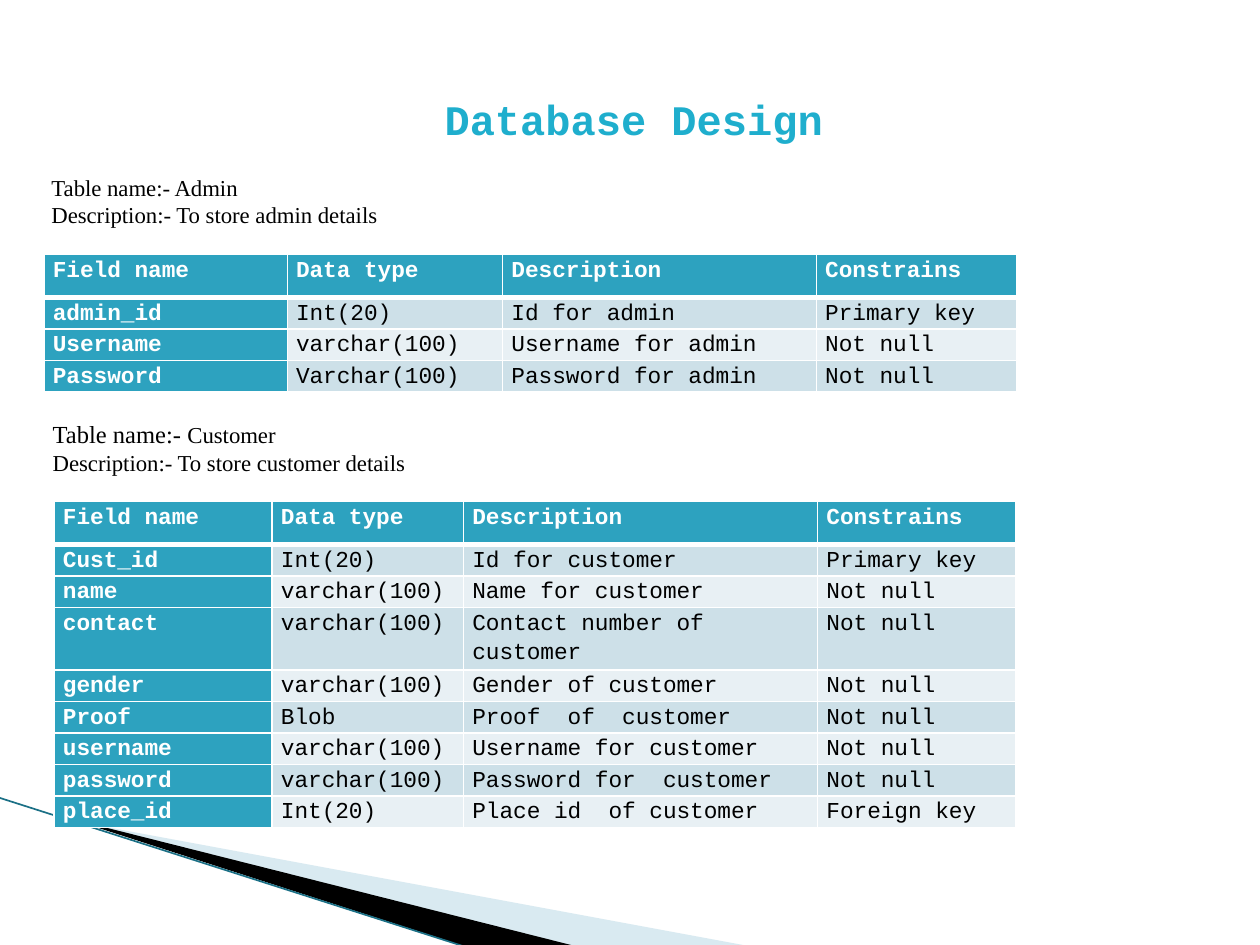
from dataclasses import dataclass

from lxml import etree
from pptx import Presentation
from pptx.dml.color import RGBColor
from pptx.enum.shapes import MSO_CONNECTOR
from pptx.oxml.ns import qn
from pptx.util import Inches, Pt

STRAIGHT = MSO_CONNECTOR.STRAIGHT


@dataclass(frozen=True)
class Theme:
    white: str = "FFFFFF"
    black: str = "000000"
    title: str = "1FAECD"
    accent: str = "2DA2BF"
    bands: tuple = ("CDE0E8", "E8F0F4")
    wedge: str = "A0CBDC"
    edge: str = "1B7086"
    mono: str = "Courier New"
    serif: str = "Times New Roman"
    title_size: float = 24
    lead_size: float = 14
    text_size: float = 13


THEME = Theme()
HEADER_HEIGHT, ROW_HEIGHT = 0.34, 0.25
HEADINGS = ("Field name", "Data type", "Description", "Constrains")
ADMIN_FIELDS = [
    ("admin_id", "Int(20)", "Id for admin", "Primary key"),
    ("Username", "varchar(100)", "Username for admin", "Not null"),
    ("Password", "Varchar(100)", "Password for admin", "Not null"),
]
CUSTOMER_FIELDS = [
    ("Cust_id", "Int(20)", "Id for customer", "Primary key"),
    ("name", "varchar(100)", "Name for customer", "Not null"),
    ("contact", "varchar(100)", "Contact number of customer", "Not null"),
    ("gender", "varchar(100)", "Gender of customer", "Not null"),
    ("Proof", "Blob", "Proof  of  customer", "Not null"),
    ("username", "varchar(100)", "Username for customer", "Not null"),
    ("password", "varchar(100)", "Password for  customer", "Not null"),
    ("place_id", "Int(20)", "Place id  of customer", "Foreign key"),
]


def add_span(para, text, color, **formats):
    span = para.add_run()
    span.text = text
    span.font.color.rgb = RGBColor.from_string(color)
    for name, value in formats.items():
        setattr(span.font, name, value)


def add_text(page, box, lines):
    """Place lines, each a list of (text, color, formats) spans."""
    frame = page.shapes.add_textbox(*map(Inches, box)).text_frame
    frame.word_wrap = True
    for index, spans in enumerate(lines):
        para = frame.add_paragraph() if index else frame.paragraphs[0]
        for text, color, formats in spans:
            add_span(para, text, color, **formats)


def add_title(page, box):
    formats = {"name": THEME.mono, "size": Pt(THEME.title_size), "bold": True}
    add_text(page, box, [[("Database Design", THEME.title, formats)]])


def add_caption(page, box, name, description, lead_size):
    formats = {"name": THEME.serif, "size": Pt(THEME.text_size)}
    lead = {**formats, "size": Pt(lead_size)}
    add_text(page, box, [
        [("Table name:- ", THEME.black, lead), (name, THEME.black, formats)],
        [("Description:- " + description, THEME.black, formats)],
    ])


def add_borders(cell, **widths):
    properties = cell._tc.get_or_add_tcPr()
    for side, width in widths.items():
        line = etree.SubElement(properties, qn(f"a:ln{side}"), w=str(Pt(width)))
        fill = etree.SubElement(line, qn("a:solidFill"))
        etree.SubElement(fill, qn("a:srgbClr"), val=THEME.white)


def fill_cell(cell, text, row, column):
    strong = row == 0 or column == 0
    add_borders(cell, L=1, R=1, T=3 if row == 1 else 1, B=1 if row else 3)
    cell.fill.solid()
    color = THEME.accent if strong else THEME.bands[(row - 1) % 2]
    cell.fill.fore_color.rgb = RGBColor.from_string(color)
    margins = {"margin_left": 0.07, "margin_right": 0.07,
               "margin_top": 0, "margin_bottom": 0}
    for name, value in margins.items():
        setattr(cell, name, Inches(value))
    para = cell.text_frame.paragraphs[0]
    para.line_spacing = 1.15
    add_span(para, text, THEME.white if strong else THEME.black,
             name=THEME.mono, size=Pt(THEME.text_size), bold=strong)


def add_field_table(page, left, top, widths, fields):
    rows = [HEADINGS, *fields]
    height = HEADER_HEIGHT + ROW_HEIGHT * len(fields)
    box = map(Inches, (left, top, sum(widths), height))
    table = page.shapes.add_table(len(rows), len(widths), *box).table
    for column, width in zip(table.columns, widths):
        column.width = Inches(width)
    for index, values in enumerate(rows):
        table.rows[index].height = Inches(ROW_HEIGHT if index else HEADER_HEIGHT)
        for column, text in enumerate(values):
            fill_cell(table.cell(index, column), text, index, column)


def add_wedge(page, points, color, opacity=100):
    start, *others = [(Inches(x), Inches(y)) for x, y in points]
    builder = page.shapes.build_freeform(*start)
    builder.add_line_segments(others, close=True)
    shape = builder.convert_to_shape()
    shape.shadow.inherit = False
    shape.line.fill.background()
    shape.fill.solid()
    shape.fill.fore_color.rgb = RGBColor.from_string(color)
    if opacity < 100:
        tint = shape._element.spPr.find(".//" + qn("a:srgbClr"))
        etree.SubElement(tint, qn("a:alpha"), val=str(opacity * 1000))


def add_corner_decoration(page, left, top):
    """Place the two wedges and the edge line that fan out from one point."""
    def place(*offsets):
        return [(left + x, top + y) for x, y in offsets]

    add_wedge(page, place((0, 0), (5.4, 1), (4.01, 1)), THEME.wedge, 40)
    add_wedge(page, place((-0.02, -0.02), (4.02, 1), (3.17, 1.01)), THEME.black)
    ends = [Inches(value) for point in place((-0.56, -0.18), (3.16, 1.01))
            for value in point]
    edge = page.shapes.add_connector(STRAIGHT, *ends)
    edge.line.color.rgb = RGBColor.from_string(THEME.edge)
    edge.line.width = Pt(0.95)
    etree.SubElement(edge._element.spPr, qn("a:effectLst"))


def main():
    deck = Presentation()
    deck.slide_width, deck.slide_height = Inches(10), Inches(7.5)
    page = deck.slides.add_slide(deck.slide_layouts[6])
    add_corner_decoration(page, 0.55, 6.51)
    add_title(page, (3.43, 0.69, 4.65, 0.5))
    add_field_table(page, 0.35, 2.02, (1.93, 1.71, 2.49, 1.59), ADMIN_FIELDS)
    add_caption(page, (0.31, 1.33, 9.57, 0.84), "Admin",
                "To store admin details", THEME.text_size)
    add_field_table(page, 0.43, 3.98, (1.73, 1.52, 2.81, 1.57), CUSTOMER_FIELDS)
    add_caption(page, (0.32, 3.28, 9.57, 0.5), "Customer",
                "To store customer details", THEME.lead_size)
    deck.save("out.pptx")


if __name__ == "__main__":
    main()
